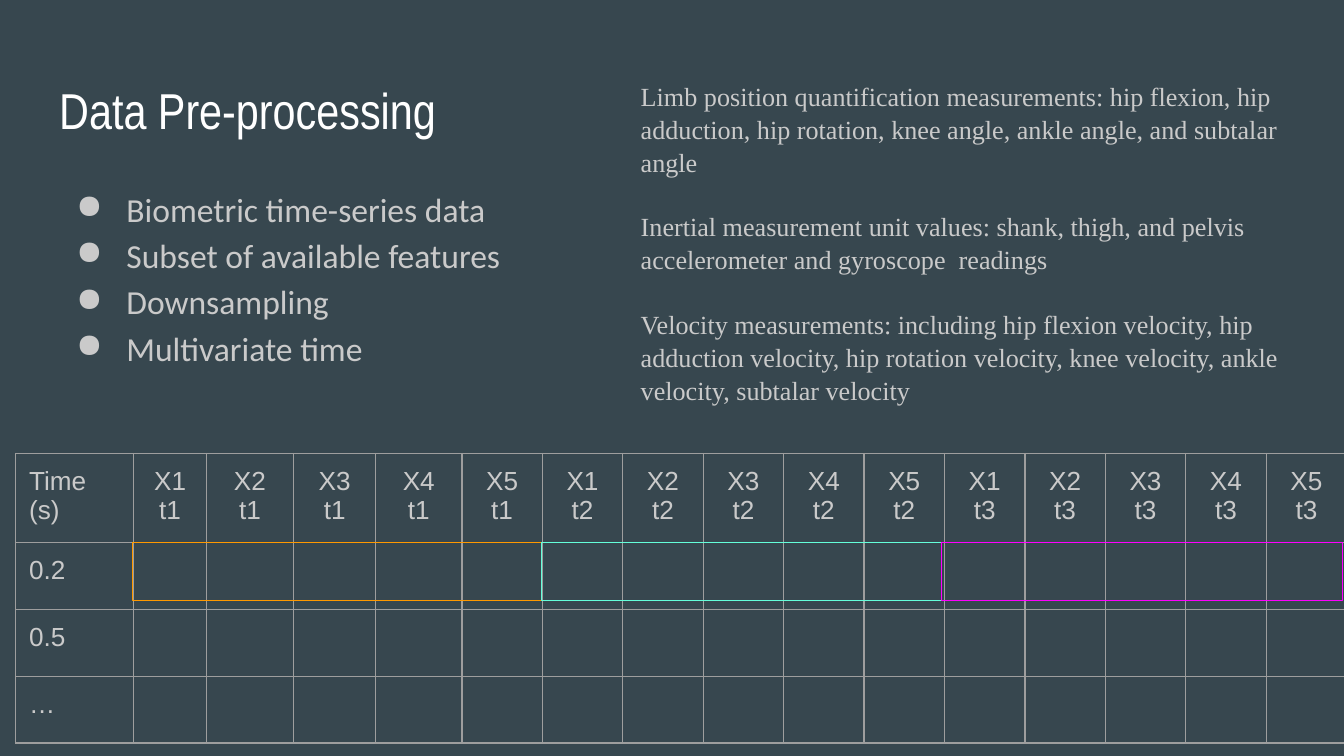
from dataclasses import dataclass
from lxml.etree import SubElement
from pptx import Presentation
from pptx.dml.color import RGBColor
from pptx.enum.shapes import MSO_SHAPE
from pptx.enum.text import PP_ALIGN
from pptx.oxml.ns import qn
from pptx.util import Cm, Pt


@dataclass(frozen=True)
class Theme:
    background: str = "37474F"
    title: str = "FFFFFF"
    text: str = "CACACA"
    grid: str = "9E9E9E"
    steps: tuple = ("FF9900", "64FFDA", "FF00FF")
    title_size: int = 27
    bullet_size: int = 18
    text_size: int = 14
    line_width: float = 0.75


THEME = Theme()
INSET = Cm(0.25)

BULLETS = [
    "Biometric time-series data",
    "Subset of available features",
    "Downsampling",
    "Multivariate time",
]
MEASUREMENTS = [
    "Limb position quantification measurements: hip flexion, hip adduction, "
    "hip rotation, knee angle, ankle angle, and subtalar angle",
    "Inertial measurement unit values: shank, thigh, and pelvis "
    "accelerometer and gyroscope  readings",
    "Velocity measurements: including hip flexion velocity, hip adduction "
    "velocity, hip rotation velocity, knee velocity, ankle velocity, "
    "subtalar velocity",
]
HEADERS = ["Time (s)"] + [f"X{x}\nt{t}" for t in (1, 2, 3) for x in range(1, 6)]
TIMES = ["0.2", "0.5", "…"]
COLUMN_WIDTHS = [2.23, 1.37, 1.65, 1.55, 1.63] + [1.52] * 11


def set_insets(frame):
    frame.margin_left = frame.margin_right = INSET
    frame.margin_top = frame.margin_bottom = INSET


def style_runs(p, font, size, color):
    for r in p.runs:
        r.font.name = font
        r.font.size = Pt(size)
        r.font.color.rgb = RGBColor.from_string(color)


def add_text(s, box, lines, font, size, color):
    tf = s.shapes.add_textbox(*map(Cm, box)).text_frame
    tf.word_wrap = True
    set_insets(tf)
    tf.text = "\n".join(lines)
    for p in tf.paragraphs:
        style_runs(p, font, size, color)
    return tf


def add_bullet(p, color):
    pPr = p._p.get_or_add_pPr()
    pPr.set("marL", str(Cm(1.27)))
    pPr.set("indent", str(Cm(-0.95)))
    SubElement(SubElement(pPr, qn("a:buClr")), qn("a:srgbClr"), val=color)
    SubElement(pPr, qn("a:buChar"), char="●")


def set_borders(cell):
    tcPr = cell._tc.get_or_add_tcPr()
    for side in ("lnL", "lnR", "lnT", "lnB"):
        ln = SubElement(tcPr, qn(f"a:{side}"), w=str(Pt(THEME.line_width)))
        SubElement(SubElement(ln, qn("a:solidFill")), qn("a:srgbClr"), val=THEME.grid)


def fill_cell(cell, text, align):
    set_insets(cell)
    set_borders(cell)
    cell.fill.background()
    if text:
        cell.text_frame.text = text
        for p in cell.text_frame.paragraphs:
            p.alignment = align
            style_runs(p, "Arial", THEME.text_size, THEME.text)


def add_time_table(s):
    rows = [HEADERS] + [[t] + [""] * (len(HEADERS) - 1) for t in TIMES]
    table = s.shapes.add_table(
        len(rows), len(HEADERS), Cm(0.3), Cm(8.57), Cm(sum(COLUMN_WIDTHS)), Cm(4.28)
    ).table
    table.first_row = table.horz_banding = False
    for column, width in zip(table.columns, COLUMN_WIDTHS):
        column.width = Cm(width)
    for i, texts in enumerate(rows):
        table.rows[i].height = Cm(1.07)
        for j, text in enumerate(texts):
            align = PP_ALIGN.CENTER if j else PP_ALIGN.LEFT
            fill_cell(table.cell(i, j), text, align)


def add_step_frames(s):
    left = 2.51
    for width, color in zip((7.72, 7.57, 7.57), THEME.steps):
        sp = s.shapes.add_shape(
            MSO_SHAPE.RECTANGLE, Cm(left), Cm(10.26), Cm(width), Cm(1.09)
        )
        sp.shadow.inherit = False
        sp.fill.background()
        sp.line.color.rgb = RGBColor.from_string(color)
        sp.line.width = Pt(THEME.line_width)
        left += width


def main():
    prs = Presentation()
    prs.slide_width, prs.slide_height = Cm(25.4), Cm(14.29)
    s = prs.slides.add_slide(prs.slide_layouts[6])
    s.background.fill.solid()
    s.background.fill.fore_color.rgb = RGBColor.from_string(THEME.background)

    add_text(s, (0.87, 1.24, 23.67, 1.6), ["Data Pre-processing"],
             "Arial Narrow", THEME.title_size, THEME.title)

    tf = add_text(s, (0.87, 3.2, 23.67, 9.5), BULLETS,
                  "Calibri", THEME.bullet_size, THEME.text)
    for p in tf.paragraphs:
        p.line_spacing = 1.15
        add_bullet(p, THEME.text)

    tf = add_text(s, (11.86, 1.24, 12.67, 6.5), MEASUREMENTS,
                  "Times New Roman", THEME.text_size, THEME.text)
    for p in tf.paragraphs:
        p.line_spacing = 1.05
        p.space_after = Pt(17)

    add_time_table(s)
    add_step_frames(s)
    prs.save("out.pptx")


if __name__ == "__main__":
    main()
